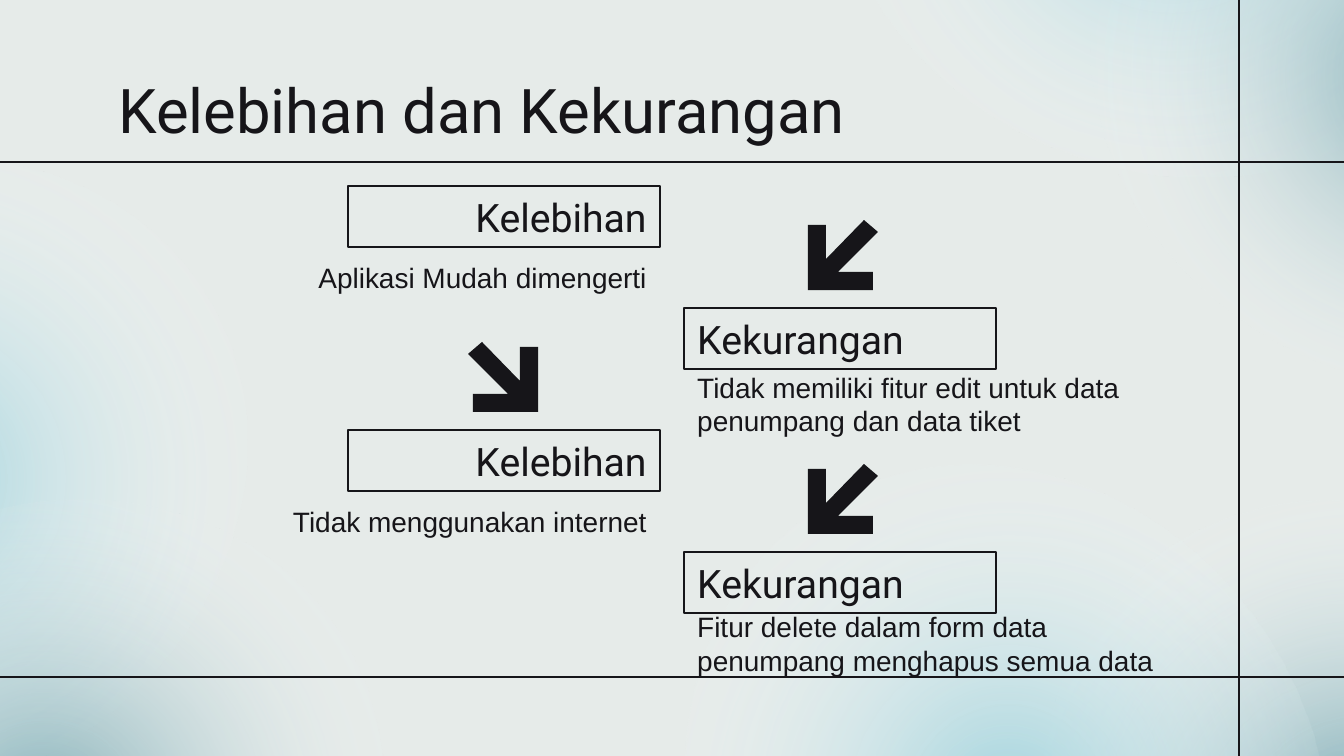
from pptx import Presentation
from pptx import util as u
from pptx.dml.color import RGBColor
from pptx.enum import shapes, text
from pptx.oxml import parse_xml
from pptx.oxml.ns import nsdecls, qn

COLORS = {"paper": "E6EBE9", "ink": "161519", "teal": "4E909E", "aqua": "80C8D8", "clear": "FFFFFF"}
WIDTH, HEIGHT = 1344, 756
SCALE = u.Inches(10) / WIDTH


def px(length):
    """Turn pixels into EMU."""
    return u.Emu(round(length * SCALE))


def rgb(name):
    """Look up a named colour."""
    return RGBColor.from_string(COLORS[name])


class Deck:
    """Holds the style and the current slide."""

    heading_font, body_font = "Roboto", "Arial"
    line_width = u.Pt(0.75)
    inset = u.Inches(0.1)

    def __init__(self):
        """Start a deck with one blank page."""
        self.file = Presentation()
        self.file.slide_width, self.file.slide_height = px(WIDTH), px(HEIGHT)
        self.page = self.file.slides.add_slide(self.file.slide_layouts[6])
        fill = self.page.background.fill
        fill.solid()
        fill.fore_color.rgb = rgb("paper")

    def glow(self, left, top, rotation, color, opacity):
        """Add a soft ellipse that fades outwards."""
        ellipse = self.page.shapes.add_shape(
            shapes.MSO_SHAPE.OVAL, px(left), px(top), px(702), px(618))
        ellipse.rotation = rotation
        ellipse.shadow.inherit = False
        ellipse.line.fill.background()
        stops = "".join(
            f'<a:gs pos="{position * 1000}"><a:srgbClr val="{COLORS[name]}">'
            f'<a:alpha val="{alpha * 1000}"/></a:srgbClr></a:gs>'
            for position, name, alpha in ((0, color, opacity), (58, "clear", 0), (100, "clear", 0)))
        gradient = parse_xml(
            f'<a:gradFill {nsdecls("a")} rotWithShape="1"><a:gsLst>{stops}</a:gsLst>'
            '<a:path path="circle"><a:fillToRect l="50000" t="50000" r="50000" b="50000"/>'
            '</a:path></a:gradFill>')
        ellipse._element.spPr.find(qn("a:prstGeom")).addnext(gradient)

    def rule(self, left, top, right, bottom):
        """Add a thin straight line."""
        line = self.page.shapes.add_connector(
            shapes.MSO_CONNECTOR.STRAIGHT, px(left), px(top), px(right), px(bottom))
        line.line.color.rgb = rgb("ink")
        line.line.width = self.line_width
        line._element.spPr.append(parse_xml(f'<a:effectLst {nsdecls("a")}/>'))

    def label(self, words, left, top, width, height, size, font, align="LEFT", framed=False):
        """Add a text box, with a frame if asked."""
        box = self.page.shapes.add_textbox(px(left), px(top), px(width), px(height))
        if framed:
            box.line.color.rgb = rgb("ink")
            box.line.width = self.line_width
        frame = box.text_frame
        frame.text = words
        frame.word_wrap = True
        frame.vertical_anchor = text.MSO_ANCHOR.MIDDLE
        frame.margin_left = frame.margin_right = self.inset
        frame.margin_top = frame.margin_bottom = self.inset
        para = frame.paragraphs[0]
        para.alignment = getattr(text.PP_ALIGN, align)
        span = para.runs[0]
        span.font.name, span.font.size = font, u.Pt(size)
        span.font.color.rgb = rgb("ink")

    def arrow(self, left, top, points_right):
        """Add a diagonal arrow pointing down to the left or right."""
        size = 70
        outline = [(56, 0), (70, 12), (30, 52), (65, 52), (65, 70),
                   (0, 70), (0, 5), (18, 5), (18, 39)]
        if points_right:
            outline = [(size - x, y) for x, y in outline]
        points = [(px(left + x), px(top + y)) for x, y in outline]
        builder = self.page.shapes.build_freeform(*points[0])
        builder.add_line_segments(points[1:], close=True)
        shape = builder.convert_to_shape()
        shape.shadow.inherit = False
        shape.fill.solid()
        shape.fill.fore_color.rgb = rgb("ink")
        shape.line.fill.background()

    def card(self, row, heading, body, body_height):
        """Add a framed heading with its text, alternating sides by row."""
        on_left = row % 2 == 0
        top = 186 + 122 * row
        box_left, body_left, arrow_left = (348, 158, 468) if on_left else (684, 684, 808)
        align = "RIGHT" if on_left else "LEFT"
        self.label(heading, box_left, top, 312, 61, 21, self.heading_font, align, framed=True)
        self.label(body, body_left, top + 66, 502, body_height, 15, self.body_font, align)
        if row > 0:
            self.arrow(arrow_left, top - 88, on_left)


GLOWS = [
    (1012, 531, 237.1, "teal", 81),
    (657, 495, 237.1, "aqua", 68),
    (820, -448, 202, "aqua", 68),
    (1085, -234, 202, "teal", 68),
    (-444, 169, 149, "aqua", 68),
    (-308, 511, 149, "teal", 68),
]
CARDS = [
    ("Kelebihan", "Aplikasi Mudah dimengerti", 51),
    ("Kekurangan", "Tidak memiliki fitur edit untuk data penumpang dan data tiket", 60),
    ("Kelebihan", "Tidak menggunakan internet", 51),
    ("Kekurangan", "Fitur delete dalam form data penumpang menghapus semua data", 51),
]

deck = Deck()
for glow in GLOWS:
    deck.glow(*glow)
for y in (162, 677):
    deck.rule(0, y, WIDTH, y)
deck.rule(1239, 0, 1239, HEIGHT)
deck.label("Kelebihan dan Kekurangan", 105, 66, 1134, 85, 33, deck.heading_font)
for row, card in enumerate(CARDS):
    deck.card(row, *card)
deck.file.save("out.pptx")
